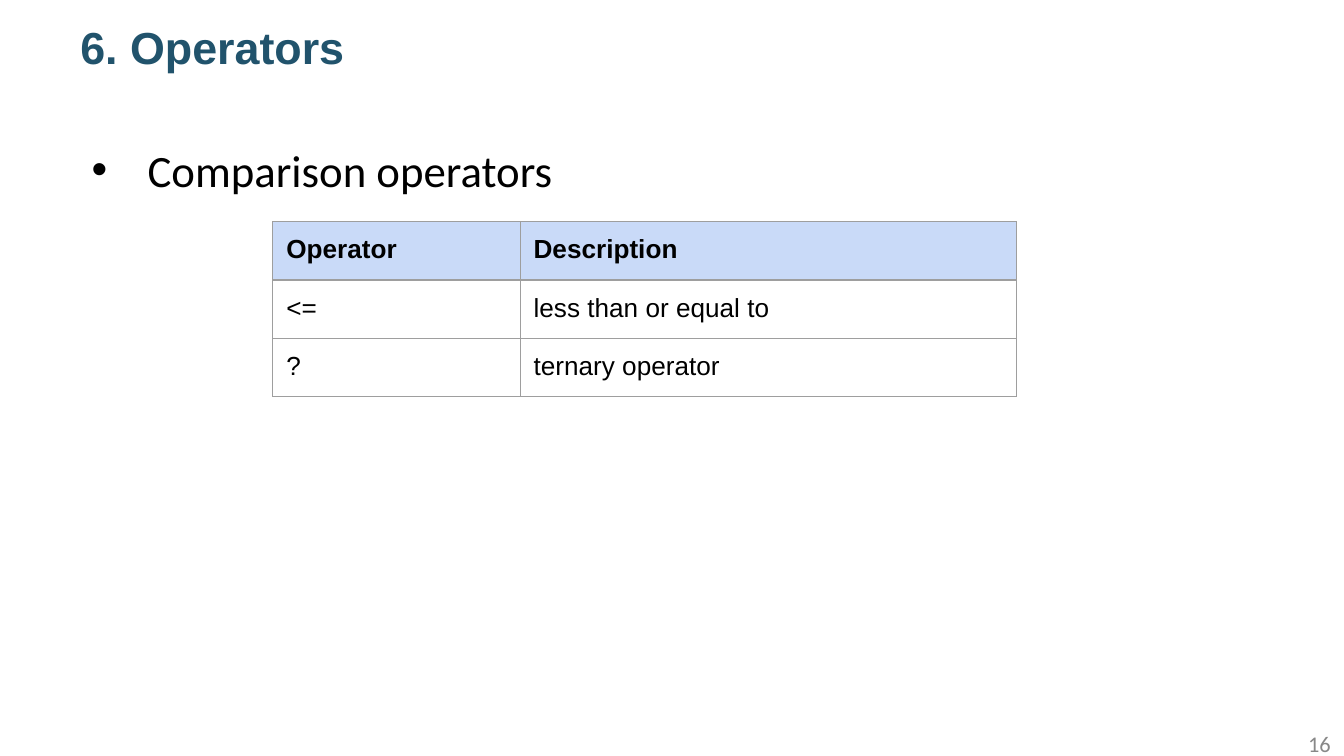
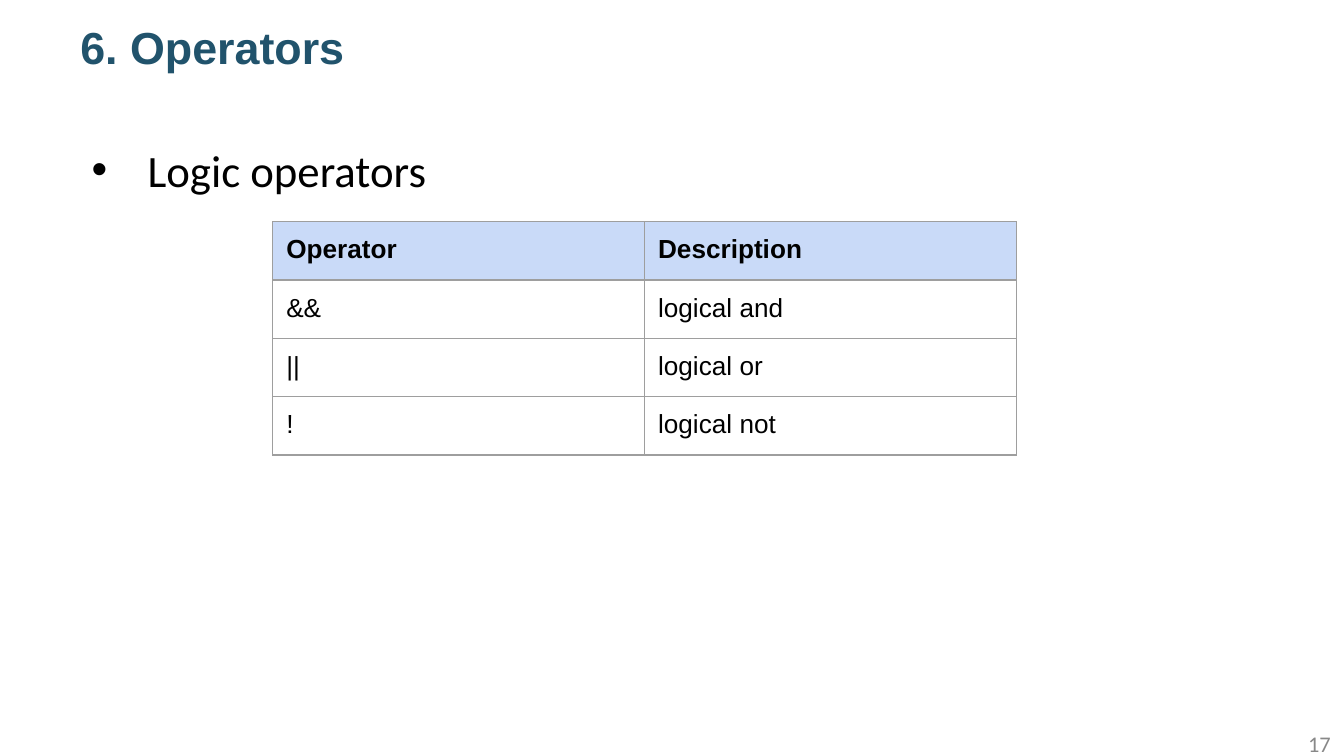
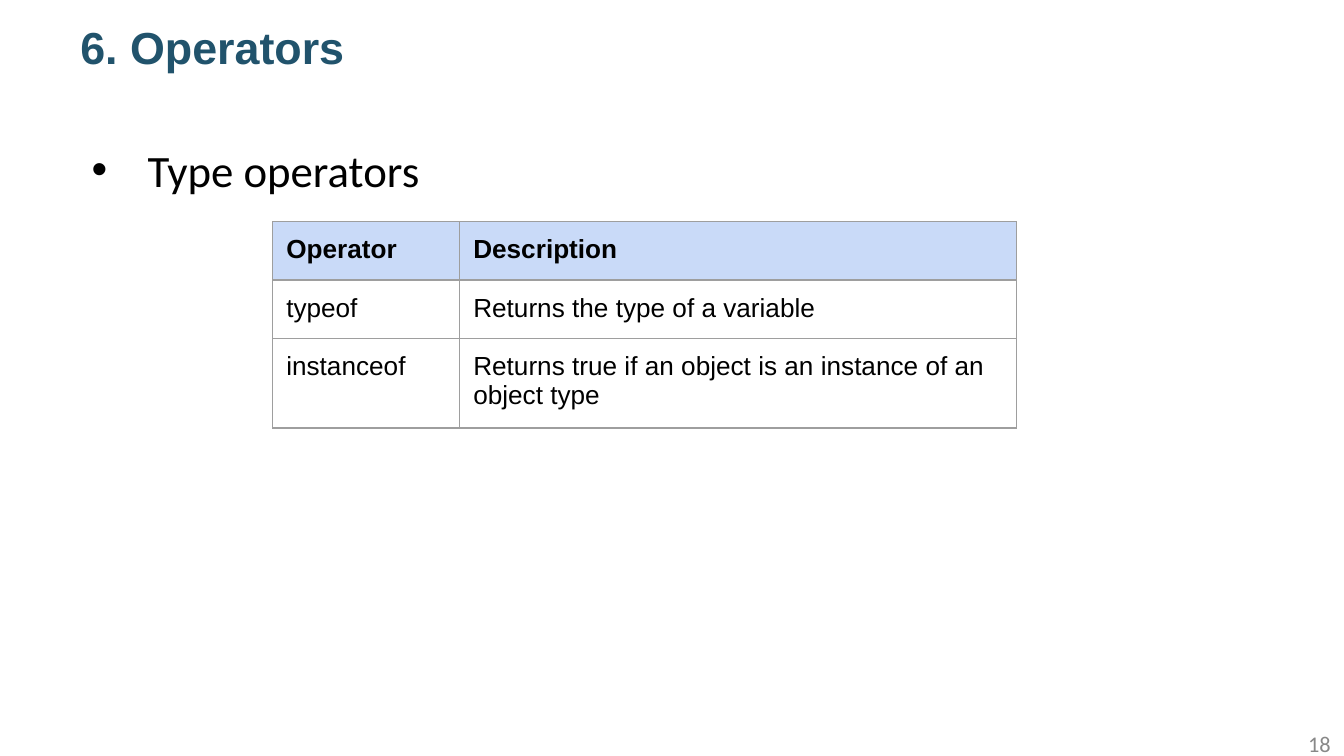
from dataclasses import dataclass

import pptx
import pptx.dml.color
import pptx.enum.text
import pptx.oxml.ns
import pptx.util
from lxml import etree

Pt = pptx.util.Pt
ALIGN = pptx.enum.text.PP_ALIGN
ANCHOR = pptx.enum.text.MSO_ANCHOR
qn = pptx.oxml.ns.qn

# Shared look
TITLE = "6. Operators"
HEADER = ("Operator", "Description")
FIRST_PAGE = 16
TITLE_COLOR, TEXT_COLOR, PAGE_COLOR = "21536C", "000000", "888888"
HEADER_FILL, BORDER_COLOR = "C9DAF8", "9E9E9E"
TABLE_LEFT, TABLE_TOP, TABLE_WIDTH, ROW_HEIGHT = 146.16, 118.8, 398.4, 30
CELL_MARGIN = 7.2


@dataclass
class Style:
    font: str
    size: float
    color: str
    bold: bool = False


@dataclass
class Box:
    left: float
    top: float
    width: float
    height: float


@dataclass
class OperatorSlide:
    topic: str
    first_column: float
    rows: list[tuple[str, str]]


TITLE_STYLE = Style("Arial", 24, TITLE_COLOR, bold=True)
BODY_STYLE = Style("Calibri", 24, TEXT_COLOR)
PAGE_STYLE = Style("Calibri", 12, PAGE_COLOR)
HEADER_STYLE = Style("Arial", 14, TEXT_COLOR, bold=True)
CELL_STYLE = Style("Arial", 14, TEXT_COLOR)

TITLE_BOX = Box(36, 0, 528.48, 50.4)
BODY_BOX = Box(36, 72.72, 648, 289.44)
PAGE_BOX = Box(552.24, 387.36, 167.76, 21.6)

SLIDES = [
    OperatorSlide("Comparison operators", 132.5, [
        ("<=", "less than or equal to"),
        ("?", "ternary operator"),
    ]),
    OperatorSlide("Logic operators", TABLE_WIDTH / 2, [
        ("&&", "logical and"),
        ("||", "logical or"),
        ("!", "logical not"),
    ]),
    OperatorSlide("Type operators", 100.2, [
        ("typeof", "Returns the type of a variable"),
        ("instanceof", "Returns true if an object is an instance of an object type"),
    ]),
]


def rgb(color: str) -> pptx.dml.color.RGBColor:
    return pptx.dml.color.RGBColor.from_string(color)


def write(tf, text: str, style: Style):
    """Put one styled paragraph into a text frame and return it."""
    p = tf.paragraphs[0]
    p.text = text
    p.font.name = style.font
    p.font.size = Pt(style.size)
    p.font.bold = style.bold
    p.font.color.rgb = rgb(style.color)
    return p


def add_text(s, box: Box, text: str, style: Style, anchor=ANCHOR.MIDDLE):
    sp = s.shapes.add_textbox(Pt(box.left), Pt(box.top), Pt(box.width), Pt(box.height))
    tf = sp.text_frame
    tf.word_wrap = True
    tf.vertical_anchor = anchor
    return write(tf, text, style)


def add_bullet(p, color: str, left: float, hanging: float) -> None:
    pPr = p._p.get_or_add_pPr()
    pPr.set("marL", str(Pt(left)))
    pPr.set("indent", str(-Pt(hanging)))
    # Bullet elements come before the default run properties
    bu_color = etree.Element(qn("a:buClr"))
    etree.SubElement(bu_color, qn("a:srgbClr"), val=color)
    bu_font = etree.Element(qn("a:buFont"), typeface="Arial")
    bu_char = etree.Element(qn("a:buChar"), char="•")
    for i, element in enumerate((bu_color, bu_font, bu_char)):
        pPr.insert(i, element)


def add_borders(cell, color: str, width: float) -> None:
    tcPr = cell._tc.get_or_add_tcPr()
    for side in ("lnL", "lnR", "lnT", "lnB"):
        ln = etree.SubElement(tcPr, qn("a:" + side), w=str(Pt(width)))
        fill = etree.SubElement(ln, qn("a:solidFill"))
        etree.SubElement(fill, qn("a:srgbClr"), val=color)


def add_operator_table(s, content: OperatorSlide) -> None:
    rows = [HEADER, *content.rows]
    table = s.shapes.add_table(
        len(rows), len(HEADER), Pt(TABLE_LEFT), Pt(TABLE_TOP),
        Pt(TABLE_WIDTH), Pt(ROW_HEIGHT * len(rows))).table
    table.first_row = table.horz_banding = False
    table.columns[0].width = Pt(content.first_column)
    table.columns[1].width = Pt(TABLE_WIDTH - content.first_column)
    for i, row in enumerate(rows):
        for j, text in enumerate(row):
            cell = table.cell(i, j)
            cell.margin_left = cell.margin_right = Pt(CELL_MARGIN)
            cell.margin_top = cell.margin_bottom = Pt(CELL_MARGIN)
            add_borders(cell, BORDER_COLOR, 0.75)
            if i == 0:
                cell.fill.solid()
                cell.fill.fore_color.rgb = rgb(HEADER_FILL)
            else:
                cell.fill.background()
            write(cell.text_frame, text, HEADER_STYLE if i == 0 else CELL_STYLE)


def add_operator_slide(prs, content: OperatorSlide, page: int) -> None:
    s = prs.slides.add_slide(prs.slide_layouts[6])
    # Title
    add_text(s, TITLE_BOX, TITLE, TITLE_STYLE)
    # Topic
    p = add_text(s, BODY_BOX, content.topic, BODY_STYLE, ANCHOR.TOP)
    add_bullet(p, TEXT_COLOR, left=36, hanging=30)
    # Page number
    add_text(s, PAGE_BOX, str(page), PAGE_STYLE).alignment = ALIGN.RIGHT
    # Operators
    add_operator_table(s, content)


prs = pptx.Presentation()
prs.slide_width, prs.slide_height = Pt(720), Pt(405)
for page, content in enumerate(SLIDES, FIRST_PAGE):
    add_operator_slide(prs, content, page)
prs.save("out.pptx")
